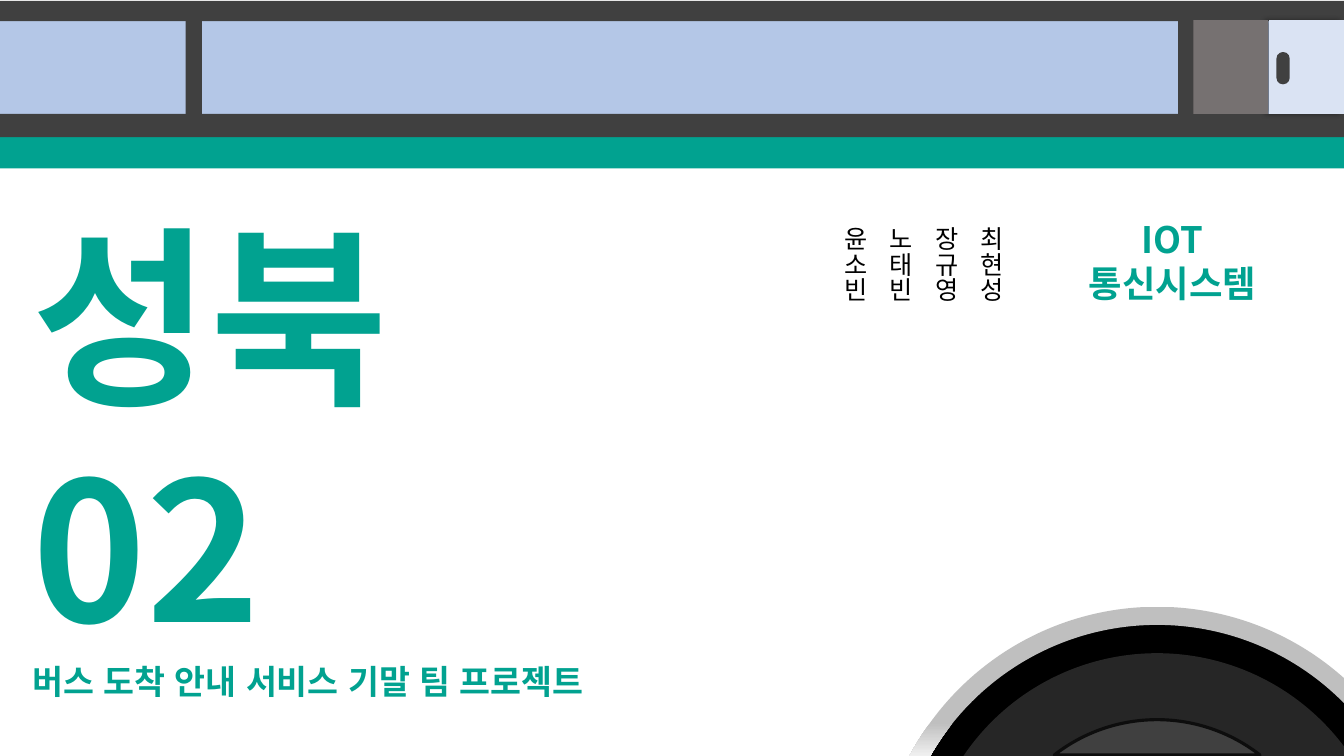
"""Build the bus-themed cover slide of a team project."""
from dataclasses import dataclass
from math import acos, asin, cos, pi, sin, tan
from typing import NamedTuple

from lxml.etree import SubElement
from pptx import Presentation
from pptx.dml.color import RGBColor
from pptx.enum.lang import MSO_LANGUAGE_ID as LANG
from pptx.enum.shapes import MSO_SHAPE as SHAPE
from pptx.enum.text import MSO_ANCHOR as ANCHOR, MSO_AUTO_SIZE as AUTO, PP_ALIGN as ALIGN
from pptx.oxml.ns import qn
from pptx.util import Inches, Pt

FONT = "Noto Sans CJK KR"
W, H = Inches(13.333), Inches(7.5)
COLORS = {
    "teal": "01A290", "black": "000000", "tyre": "262626", "frame": "404040",
    "rim": "0D0D0D", "glass": "B4C7E7", "door": "DAE3F3", "panel": "767171",
    "arch": "BFBFBF", "arch_end": "F0F0F0",
}
CX, CY = 86.1, 117.33


@dataclass(frozen=True)
class Box:
    """Place a box in percent of the slide's width and height."""
    x: float
    y: float
    w: float
    h: float

    def emu(self) -> tuple[int, int, int, int]:
        return across(self.x), down(self.y), across(self.w), down(self.h)


@dataclass(frozen=True)
class Part:
    """Describe a filled part of the bus body."""
    box: Box
    color: str
    kind: SHAPE = SHAPE.RECTANGLE
    shadow: bool = False


@dataclass(frozen=True)
class Disc:
    """Describe a wheel disc cut off at a bottom edge."""
    radius: float
    color: str
    bottom: float = 100
    line: str = ""


class Node(NamedTuple):
    """Hold an outline point and the controls of the curve into it."""
    x: int
    y: int
    controls: tuple = ()


TITLE = Box(1.65, 25.47, 47.4, 37.73)
COURSE = Box(79.65, 28.13, 15.23, 13.07)
TEAM = Box(57.83, 28.67, 18.53, 35.2)
MEMBERS = ("최현성", "장규영", "노태빈", "윤소빈")
DISCS = (
    Disc(19.65, "black"),
    Disc(17.4, "tyre"),
    Disc(12.45, "frame", bottom=99.87, line="rim"),
)
ARCH = (20.85, 19.5)
BODY = (
    Part(Box(0, 2.67, 100, 12.4), "glass"),
    Part(Box(0, 18.13, 100, 4.13), "teal"),
    Part(Box(0, 15.07, 100, 3.07), "frame"),
    Part(Box(0, 0.13, 100, 2.67), "frame"),
    *(Part(Box(x, 1.33, 1.2, 13.73), "frame") for x in (13.82, 87.66)),
    Part(Box(94.43, 2.67, 5.57, 12.4), "door", shadow=True),
    Part(Box(94.98, 6.88, 0.98, 4.27), "frame", SHAPE.ROUNDED_RECTANGLE),
    Part(Box(88.8, 2.67, 5.55, 12.4), "panel"),
)


def across(share: float) -> int:
    """Turn a percentage of the width into EMU."""
    return round(W * share / 100)


def down(share: float) -> int:
    """Turn a percentage of the height into EMU."""
    return round(H * share / 100)


def rgb(name: str) -> RGBColor:
    """Look up a colour."""
    return RGBColor.from_string(COLORS[name])


def write(tf, text: str, *, size: float, color: str = "teal", bold: bool = True,
          align: ALIGN = ALIGN.LEFT, spacing: float = 1.0, first: bool = False) -> None:
    """Write one formatted paragraph, with line breaks at newlines."""
    p = tf.paragraphs[0] if first else tf.add_paragraph()
    p.alignment, p.line_spacing, p.space_before = align, spacing, Pt(0)
    for i, line in enumerate(text.split("\n")):
        if i:
            p.add_line_break()
        r = p.add_run()
        r.text = line
        r.font.name, r.font.size, r.font.bold = FONT, Pt(size), bold
        r.font.language_id = LANG.KOREAN
        r.font.color.rgb = rgb(color)
        r.font._element.set("kern", "0")
        SubElement(r.font._element, qn("a:ea"), typeface=FONT)


def frame(sp, box: Box):
    """Place a text shape and return its prepared text frame."""
    sp.left, sp.top, sp.width, sp.height = box.emu()
    tf = sp.text_frame
    tf.word_wrap, tf.auto_size, tf.vertical_anchor = True, AUTO.NONE, ANCHOR.TOP
    return tf


def add_text(s, box: Box):
    """Add a text box and return its text frame."""
    return frame(s.shapes.add_textbox(*box.emu()), box)


def paint(sp, color: str, line: str = "") -> None:
    """Fill a shape and set or remove its outline."""
    sp.shadow.inherit = False
    sp.fill.solid()
    sp.fill.fore_color.rgb = rgb(color)
    if line:
        sp.line.color.rgb, sp.line.width = rgb(line), Pt(2.25)
    else:
        sp.line.fill.background()


def arc(radius: float, bottom: float = 100, back: bool = False) -> list[Node]:
    """Return the visible wheel arc as two curves that meet at its top."""
    cx, cy, r = across(CX), down(CY), across(radius)
    low = asin((cy - down(bottom)) / r)
    angles = [pi - low, pi / 2, max(low, acos(min(1, (W - cx) / r)))]
    if back:
        angles.reverse()

    def at(a: float, pull: float = 0) -> tuple[int, int]:
        return (round(cx + r * (cos(a) - pull * sin(a))),
                round(cy - r * (sin(a) + pull * cos(a))))

    nodes = [Node(*at(angles[0]))]
    for a, b in zip(angles, angles[1:]):
        pull = 4 / 3 * tan((b - a) / 4)
        nodes.append(Node(*at(b), (at(a, pull), at(b, -pull))))
    return nodes


def outline(s, nodes: list[Node]):
    """Add a closed freeform and bend the segments that have controls."""
    builder = s.shapes.build_freeform(nodes[0].x, nodes[0].y)
    builder.add_line_segments([(n.x, n.y) for n in nodes[1:]], close=True)
    sp = builder.convert_to_shape()
    segments = list(sp._element.iter(qn("a:lnTo")))
    for segment, node in zip(segments, nodes[1:]):
        if node.controls:
            curve = segment.makeelement(qn("a:cubicBezTo"))
            for x, y in (*node.controls, (node.x, node.y)):
                SubElement(curve, qn("a:pt"), x=str(x - sp.left), y=str(y - sp.top))
            segment.getparent().replace(segment, curve)
    return sp


def draw_wheel(s) -> None:
    """Draw the discs and the wheel arch."""
    for disc in DISCS:
        nodes = arc(disc.radius, disc.bottom)
        corner = Node(nodes[-1].x, down(disc.bottom))
        paint(outline(s, nodes + [corner]), disc.color, disc.line)
    outer, inner = ARCH
    sp = outline(s, arc(outer) + arc(inner, back=True))
    paint(sp, "arch")
    sp.fill.gradient()
    sp.fill.gradient_angle = 270
    for stop, color, place in zip(sp.fill.gradient_stops, ("arch", "arch_end"), (0.78, 1)):
        stop.color.rgb, stop.position = rgb(color), place


def draw_part(s, part: Part) -> None:
    """Draw one part of the bus body."""
    sp = s.shapes.add_shape(part.kind, *part.box.emu())
    paint(sp, part.color)
    if part.kind == SHAPE.ROUNDED_RECTANGLE:
        sp.adjustments[0] = 0.48
    if part.shadow:
        effects = sp._element.spPr.find(qn("a:effectLst"))
        shadow = SubElement(effects, qn("a:outerShdw"), blurRad=str(Pt(4)),
                            dist=str(Pt(3)), dir="10800000", algn="r", rotWithShape="0")
        color = SubElement(shadow, qn("a:srgbClr"), val=COLORS["black"])
        SubElement(color, qn("a:alpha"), val="40000")


def main() -> None:
    """Build and save the slide."""
    prs = Presentation()
    prs.slide_width, prs.slide_height = W, H
    s = prs.slides.add_slide(prs.slide_layouts[5])
    tf = frame(s.shapes.title, TITLE)
    write(tf, "성북\n02", size=138, first=True)
    write(tf, "버스 도착 안내 서비스 기말 팀 프로젝트", size=24)
    tf = add_text(s, COURSE)
    for i, text in enumerate(("IOT", "통신시스템")):
        write(tf, text, size=26, align=ALIGN.CENTER, first=i == 0)
    tf = add_text(s, TEAM)
    tf._txBody.bodyPr.set("vert", "eaVert")
    for i, member in enumerate(MEMBERS):
        write(tf, member, size=18, color="black", bold=False, spacing=1.5, first=i == 0)
    draw_wheel(s)
    for part in BODY:
        draw_part(s, part)
    prs.save("out.pptx")


if __name__ == "__main__":
    main()
